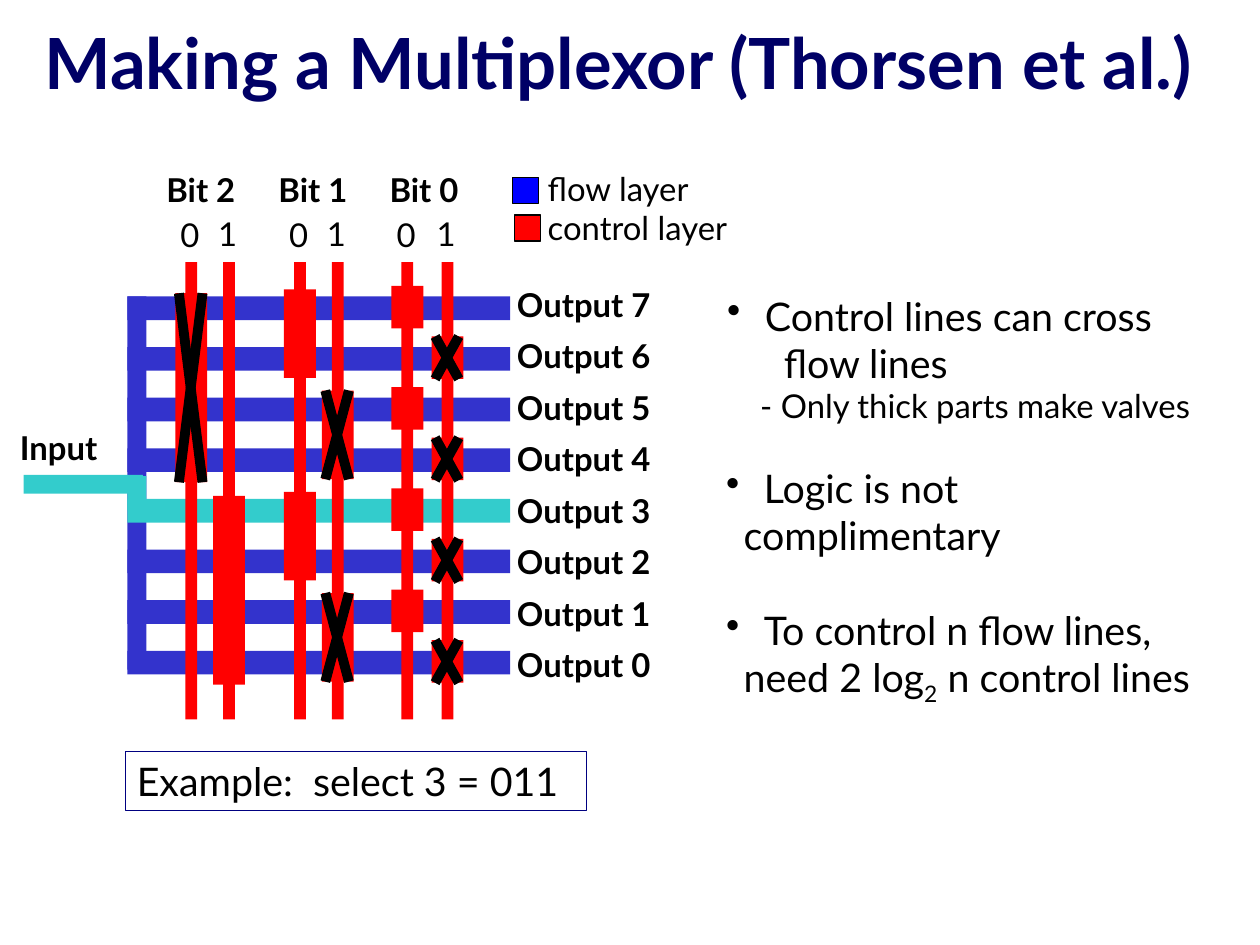
from lxml import etree
from pptx import Presentation, util as u
from pptx.dml.color import RGBColor
from pptx.enum import shapes, text
from pptx.oxml import ns

# Content
TITLE = "Making a Multiplexor (Thorsen et al.)"
EXAMPLE = "Example:  select 3 = 011"
LEGEND = [("flow layer", "legend_flow", 4.34, 1.5), ("control layer", "control", 4.36, 1.82)]
# Each note line: runs, bulleted, left margin, size, space before
NOTES_TOP = [
    ([("Control lines can cross", 0)], True, 0.32, 24, 0),
    ([("flow lines", 0)], False, 0.48, 24, 0),
    ([("- Only thick parts make valves", 0)], False, 0.28, 20, 0),
]
NOTES_BOTTOM = [
    ([("Logic is not", 0)], True, 0.32, 24, 0),
    ([("complimentary", 0)], False, 0.15, 24, 0),
    ([("To control n flow lines,", 0)], True, 0.32, 24, 29),
    ([("need 2 log", 0), ("2", -25000), (" n control lines", 0)], False, 0.15, 24, 0),
]
SELECTED, OUTPUTS = 3, 8
# Bit: label left, control line lefts for 0 and 1, valve height, valve nudge
BITS = {
    2: (1.31, (1.57, 1.89), 1.60, 0.03),
    1: (2.26, (2.49, 2.81), 0.75, 0),
    0: (3.20, (3.40, 3.74), 0.36, -0.01),
}
COLORS = {
    "title": "000066", "text": "000000", "flow": "3333CC", "active": "33CCCC",
    "control": "FF0000", "legend_flow": "0000FF", "frame": "000080",
}
FONT = "Lato"

# Grid of flow lines
FLOW_LEFT, FLOW_TOP, FLOW_WIDTH, FLOW_HEIGHT = 1.08, 2.51, 3.24, 0.2
ROW = 3 / 7
LABEL_TOP, LABEL_ROW, LABEL_HEIGHT = 2.36, 3.05 / 7, 0.44
LINE_TOP, LINE_WIDTH, LINE_HEIGHT = 2.22, 0.1, 3.87
VALVE_WIDTH, CHANNEL = 0.27, 0.16

presentation = Presentation()
presentation.slide_width, presentation.slide_height = u.Inches(10.67), u.Inches(8)
slide = presentation.slides.add_slide(presentation.slide_layouts[6])


def color(name):
    return RGBColor.from_string(COLORS[name])


def box(left, top, width, height, fill=None, line=None):
    shape = slide.shapes.add_shape(
        shapes.MSO_SHAPE.RECTANGLE, *map(u.Inches, (left, top, width, height)))
    shape.shadow.inherit = False
    if fill:
        shape.fill.solid()
        shape.fill.fore_color.rgb = color(fill)
    else:
        shape.fill.background()
    if line:
        shape.line.color.rgb = color(line)
        shape.line.width = u.Pt(0.75)
    else:
        shape.line.fill.background()
    return shape


def write(shape, lines, bold=False, ink="text", align=text.PP_ALIGN.LEFT,
          anchor=text.MSO_ANCHOR.TOP, wrap=False):
    frame = shape.text_frame
    frame.word_wrap = wrap
    frame.vertical_anchor = anchor
    for index, (runs, bulleted, margin, size, before) in enumerate(lines):
        paragraph = frame.add_paragraph() if index else frame.paragraphs[0]
        paragraph.alignment = align
        properties = paragraph._p.get_or_add_pPr()
        properties.set("marL", str(u.Inches(margin)))
        properties.set("indent", str(-u.Inches(margin) if bulleted else 0))
        if bulleted:
            etree.SubElement(properties, ns.qn("a:buChar")).set("char", "•")
        if before:
            paragraph.space_before = u.Pt(before)
        for words, baseline in runs:
            run = paragraph.add_run()
            run.text = words
            run.font.name, run.font.size, run.font.bold = FONT, u.Pt(size), bold
            run.font.color.rgb = color(ink)
            if baseline:
                run.font._element.set("baseline", str(baseline))


def text_box(left, top, width, height, lines, **style):
    shape = slide.shapes.add_textbox(*map(u.Inches, (left, top, width, height)))
    write(shape, lines, **style)


def plain(words, size=20):
    return [([(words, 0)], False, 0, size, 0)]


def cross(left, top, right, bottom):
    group = slide.shapes.add_group_shape()
    for start, end in ((left, right), (right, left)):
        line = group.shapes.add_connector(
            shapes.MSO_CONNECTOR.STRAIGHT, *map(u.Inches, (start, top, end, bottom)))
        line.line.color.rgb = color("text")
        line.line.width = u.Pt(6)
        etree.SubElement(line._element.spPr, ns.qn("a:effectLst"))


# Title and notes
text_box(0, -0.15, 10.47, 1.33, plain(TITLE, 43), bold=True, ink="title",
         align=text.PP_ALIGN.CENTER, anchor=text.MSO_ANCHOR.MIDDLE, wrap=True)
text_box(6.06, 2.42, 4.44, 1.24, NOTES_TOP, wrap=True)
text_box(6.05, 3.88, 4.43, 2.16, NOTES_BOTTOM, wrap=True)

# Flow layer
box(FLOW_LEFT, FLOW_TOP, CHANNEL, 7 * ROW + FLOW_HEIGHT - 0.04, "flow")
for row in range(OUTPUTS):
    output = OUTPUTS - 1 - row
    box(FLOW_LEFT, FLOW_TOP + row * ROW, FLOW_WIDTH, FLOW_HEIGHT,
        "active" if output == SELECTED else "flow")
    text_box(4.28, LABEL_TOP + row * LABEL_ROW, 1.43, LABEL_HEIGHT,
             plain(f"Output {output}"), bold=True)
box(0.2, 4.02, 1.01, CHANNEL, "active")
box(FLOW_LEFT, 4.03, CHANNEL, 0.29, "active")
text_box(0.07, 3.57, 0.97, LABEL_HEIGHT, plain("Input"), bold=True)

# Control layer: a valve spans 2**bit rows, alternating between lines 0 and 1
for bit, (label_left, line_lefts, valve_height, nudge) in BITS.items():
    text_box(label_left, 1.39, 0.82, LABEL_HEIGHT, plain(f"Bit {bit}"), bold=True)
    for digit, line_left in enumerate(line_lefts):
        box(line_left, LINE_TOP, LINE_WIDTH, LINE_HEIGHT, "control")
        text_box(line_left - 0.14, 1.77 - 0.01 * digit, 0.36, LABEL_HEIGHT, plain(str(digit)))
    span = 2 ** bit
    for number, first_row in enumerate(range(0, OUTPUTS, span)):
        digit = number % 2
        left = line_lefts[digit] - (VALVE_WIDTH - LINE_WIDTH) / 2
        middle = FLOW_TOP + FLOW_HEIGHT / 2 + (first_row + (span - 1) / 2) * ROW + nudge
        top = middle - valve_height / 2
        box(left, top, VALVE_WIDTH, valve_height, "control")
        if digit == SELECTED >> bit & 1:
            cross(left + 0.03, top, left + 0.23, top + valve_height)

# Legend and example
for _, fill, left, top in LEGEND:
    box(left, top, 0.22, 0.22, fill, "text")
text_box(4.54, 1.38, 1.84, 0.77, [plain(words)[0] for words, *_ in LEGEND])
write(box(1.06, 6.36, 3.91, 0.5, line="frame"), plain(EXAMPLE, 24))

presentation.save("out.pptx")
